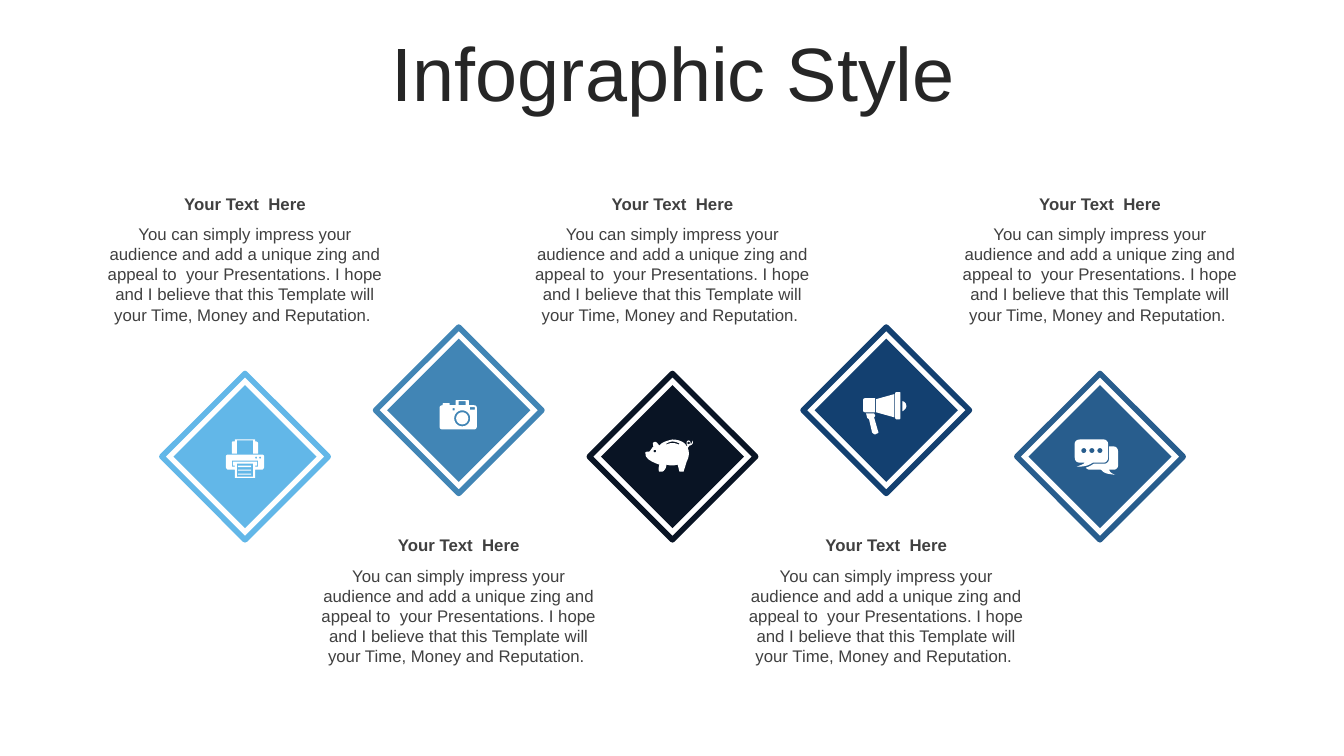
import math

import pptx
import pptx.dml.color
import pptx.enum.shapes
import pptx.enum.text
import pptx.util

Inches = pptx.util.Inches
COLORS = {
    "title": "262626", "text": "404040", "icon": "FFFFFF",
    "sky": "62B7E8", "steel": "4185B5", "night": "091424",
    "navy": "134070", "denim": "285D8D",
}
HEADING = "Your Text  Here"
BODY = ("You can simply impress your audience and add a unique zing and appeal to  your "
        "Presentations. I hope and I believe that this Template will your Time, Money "
        "and Reputation. ")

# Icon outlines in hundredths of an inch, one contour a line:
# M start, L line, C curve, O circle (centre, radius), R rectangle (left, top, width, height)
PRINTER = """R 12 34 13 1
R 12 30 13 1
R 12 26 13 1.5
R 11 24 16 13
M 6 21 L 6 27 9 27 9 26 7 26 7 22 31 22 31 26 29 26 29 27 32 27 32 21
O 34 18 1
O 30 18 1
M 2 15 L 36 15 C 37 15 38 16 38 17 L 38 27 C 38 28 37 30 36 30 L 29 30 29 38 9 38 9 30 2 30 C 1 30 0 28 0 27 L 0 17 C 0 16 1 15 2 15
M 9 0 L 29 0 29 2 30 2 C 31 2 32 3 32 4 L 32 14 27 14 27 1 11 1 11 14 6 14 6 4 C 6 3 6 2 7 2 L 9 2"""
CAMERA = """O 22.5 18 6
O 22.5 18 8
R 13 8 2 2
R 30 7 5 2.5
R 19 1 7 4
M 17 0 L 28 0 C 29 0 29 0 29 1 L 29 5 34 5 C 36 5 37 6 37 8 L 37 26 C 37 28 36 29 34 29 L 3 29 C 1 29 0 28 0 26 L 0 8 C 0 6 1 5 3 5 L 3 4 C 3 3 4 3 4 3 L 9 3 C 10 3 10 3 10 4 L 10 5 16 5 16 1 C 16 0 16 0 17 0"""
PIG = """O 9.5 11.5 1.3
O 43 3.5 1.3
M 27 2 C 25 2 23 3 21 4 L 21 5 C 25 3 29 3 33 5 L 34 4 C 32 3 29 2 27 2
M 27 0 C 32 0 38 2 40 5 L 41 7 C 41 6 42 6 42 6 C 41 5 41 5 41 3 C 41 2 42 1 43 1 C 44 1 45 2 45 4 L 45 5 C 45 4 46 5 47 1 C 48 4 46 6 44 6 C 43 7 43 8 42 8 L 43 11 C 44 16 42 20 41 22 C 40 26 39 28 38 32 L 34 32 C 33 30 33 27 32 25 C 29 26 24 26 21 25 C 21 28 19 31 17 32 L 14 32 C 13 32 13 27 14 25 C 9 23 -1 20 0 13 C 0 12 3 12 4 12 C 6 10 6 9 8 7 C 8 6 7 3 8 3 C 11 1 12 4 14 6 C 17 2 23 1 27 0"""
MEGAPHONE = """M 11 21 L 12 23 C 12 24 12 24 11 25 L 15 39 C 16 40 15 41 14 41 L 12 42 C 11 42 10 41 9 40 L 6 27 C 5 26 4 26 4 25 L 3 21
M 39 9 C 41 9 43 11 43 14 C 43 16 41 18 39 19
M 2 6 L 12 6 12 20 2 20 C 1 20 0 19 0 18 L 0 8 C 0 7 1 6 2 6
M 31 2 L 31 25 13 20 13 7
M 33 0 L 36 0 C 37 0 37 0 37 1 L 37 26 C 37 26 37 27 36 27 L 33 27 C 33 27 32 26 32 26 L 32 1 C 32 0 33 0 33 0"""
CHAT = """O 25 11 2.5
O 17 11 2.5
O 9 11 2.5
M 34 7 L 39 7 C 41 7 43 9 43 12 L 43 26 C 43 28 41 30 39 30 L 34 30 C 35 32 35 33 40 35 C 31 34 30 34 26 30 L 15 30 C 13 30 12 29 11 28 C 14 27 16 26 19 24 L 30 24 C 32 24 34 22 34 19
M 5 0 L 29 0 C 31 0 33 2 33 4 L 33 18 C 33 21 31 23 29 23 L 18 23 C 13 26 11 27 2 27 C 7 25 8 25 10 23 L 5 23 C 2 23 0 21 0 18 L 0 4 C 0 2 2 0 5 0"""
SIZES = {"M": 2, "L": 2, "C": 6, "O": 3, "R": 4}

# Color, icon, icon corner measured from the diamond's centre
STEPS = [
    ("sky", PRINTER, -0.19, -0.17),
    ("steel", CAMERA, -0.19, -0.10),
    ("night", PIG, -0.27, -0.17),
    ("navy", MEGAPHONE, -0.23, -0.18),
    ("denim", CHAT, -0.25, -0.17),
]


def trace(contour):
    """Turn one contour into a list of points."""
    points, numbers, mode = [], [], "M"
    for token in contour.split():
        if token in SIZES:
            mode = token
            continue
        numbers.append(float(token))
        if len(numbers) < SIZES[mode]:
            continue
        if mode == "C":
            x0, y0 = points[-1]
            x1, y1, x2, y2, x3, y3 = numbers
            for t in (0.2, 0.4, 0.6, 0.8, 1):
                a, b, c, d = (1 - t) ** 3, 3 * t * (1 - t) ** 2, 3 * t * t * (1 - t), t ** 3
                points.append((a * x0 + b * x1 + c * x2 + d * x3,
                               a * y0 + b * y1 + c * y2 + d * y3))
        elif mode == "O":
            x, y, radius = numbers
            points += [(x + radius * math.cos(k * math.pi / 12),
                        y + radius * math.sin(k * math.pi / 12)) for k in range(24)]
        elif mode == "R":
            x, y, w, h = numbers
            points += [(x, y), (x + w, y), (x + w, y + h), (x, y + h)]
        else:
            points.append(tuple(numbers))
        numbers = []
    return points


def add_text(text, left, top, width, height, size, color, bold=False):
    box = page.shapes.add_textbox(Inches(left), Inches(top), Inches(width), Inches(height))
    box.text_frame.word_wrap = True
    para = box.text_frame.paragraphs[0]
    para.alignment = pptx.enum.text.PP_ALIGN.CENTER
    span = para.add_run()
    span.text = text
    span.font.name = "Arial"
    span.font.size = pptx.util.Pt(size)
    span.font.bold = bold
    span.font.color.rgb = pptx.dml.color.RGBColor.from_string(COLORS[color])
    return box


deck = pptx.Presentation()
deck.slide_width, deck.slide_height = Inches(13.33), Inches(7.5)
page = deck.slides.add_slide(deck.slide_layouts[6])

# Title
title = add_text("Infographic Style", 0.35, 0.37, 12.66, 0.79, 54, "title")
title.text_frame.vertical_anchor = pptx.enum.text.MSO_ANCHOR.MIDDLE
title.text_frame.paragraphs[0].line_spacing = 0.9

for index, (color, icon, icon_dx, icon_dy) in enumerate(STEPS):
    raised = index % 2 == 1
    center_x = 6.67 + 2.12 * (index - 2)
    center_y = 4.07 if raised else 4.53
    step_color = pptx.dml.color.RGBColor.from_string(COLORS[color])

    # Solid diamond inside an outlined one
    for size in (1.42, 1.65):
        diamond = page.shapes.add_shape(
            pptx.enum.shapes.MSO_SHAPE.DIAMOND, Inches(center_x - size / 2),
            Inches(center_y - size / 2), Inches(size), Inches(size))
        diamond.shadow.inherit = False
        if size == 1.42:
            diamond.fill.solid()
            diamond.fill.fore_color.rgb = step_color
            diamond.line.fill.background()
        else:
            diamond.fill.background()
            diamond.line.color.rgb = step_color
            diamond.line.width = pptx.util.Pt(4)

    # Heading and body, below raised diamonds and above the others
    text_top = 5.26 if raised else 1.87
    add_text(BODY, center_x - 1.51, text_top + 0.3, 3.02, 1.11, 12, "text")
    add_text(HEADING, center_x - 1.51, text_top, 3.02, 0.3, 12, "text", bold=True)

    # Icon
    builder = None
    for contour in icon.splitlines():
        points = [(Inches(center_x + icon_dx + x / 100), Inches(center_y + icon_dy + y / 100))
                  for x, y in trace(contour)]
        if builder is None:
            builder = page.shapes.build_freeform(*points[0])
        else:
            builder.move_to(*points[0])
        builder.add_line_segments(points[1:], close=True)
    symbol = builder.convert_to_shape()
    symbol.shadow.inherit = False
    symbol.fill.solid()
    symbol.fill.fore_color.rgb = pptx.dml.color.RGBColor.from_string(COLORS["icon"])
    symbol.line.fill.background()

deck.save("out.pptx")
